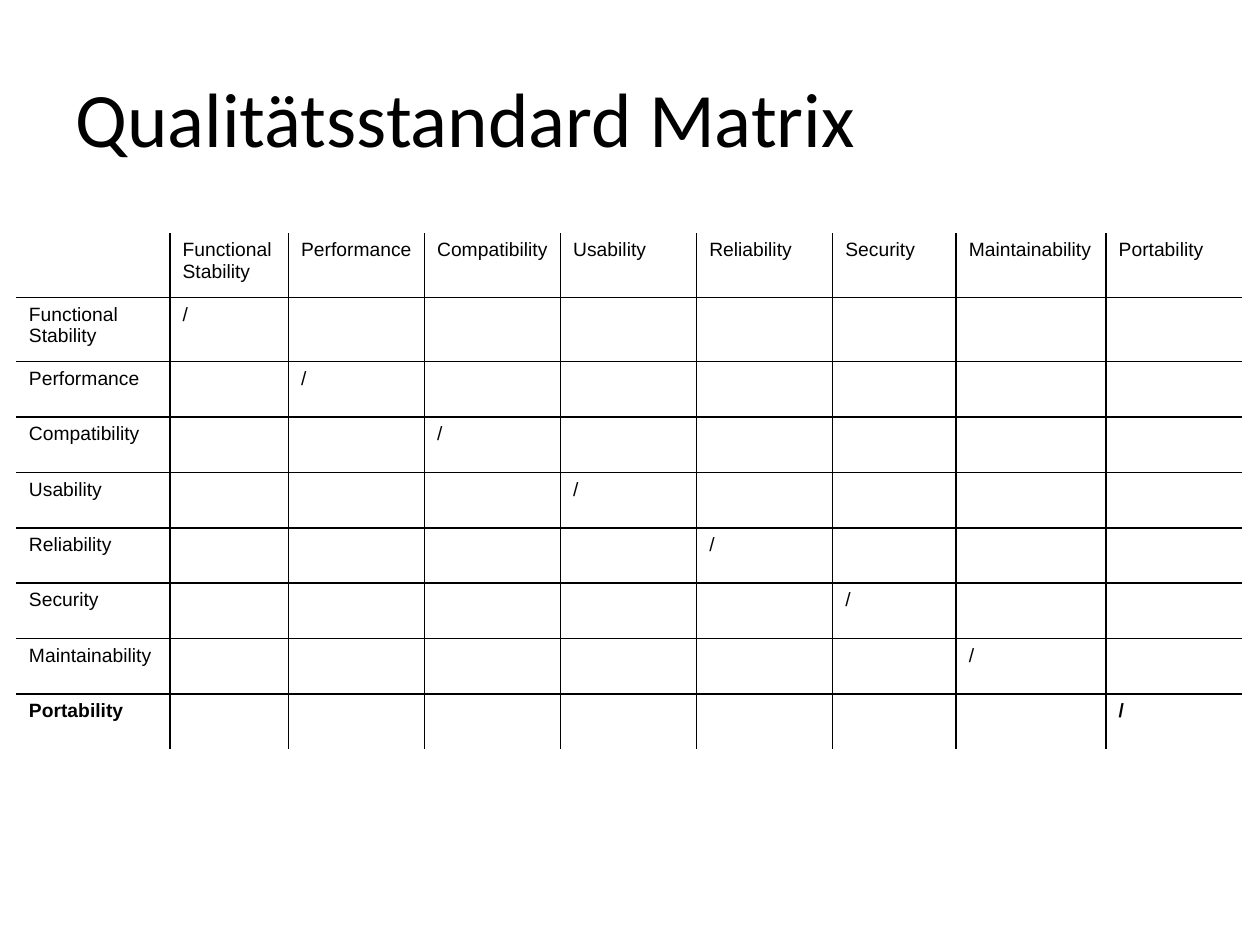
"""Build the quality standard matrix slide."""
import dataclasses

import lxml.etree
import pptx
import pptx.dml.color
import pptx.enum.text
import pptx.oxml.ns
import pptx.util

COLORS = {"text": "000000", "grid": "000000"}
QUALITIES = ["Functional Stability", "Performance", "Compatibility", "Usability",
             "Reliability", "Security", "Maintainability", "Portability"]
COLUMN_WIDTHS = [1.22, 0.94, 1.08, 1.08, 1.08, 1.08, 0.98, 1.19, 1.08]
ROW_HEIGHTS = [0.51] * 2 + [0.44] * 7
LAST = len(QUALITIES)


@dataclasses.dataclass
class MatrixCell:
    """Content and grid position of one matrix cell."""
    row: int
    column: int

    @property
    def label(self) -> str:
        """Return the quality name on the margins and a slash on the diagonal."""
        if self.row == self.column:
            return "/" if self.row else ""
        if self.row == 0 or self.column == 0:
            return QUALITIES[max(self.row, self.column) - 1]
        return ""

    @property
    def borders(self) -> dict[str, bool]:
        """Tell which sides lie inside the matrix and carry a line."""
        return {"lnL": self.column > 0, "lnR": self.column < LAST,
                "lnT": self.row > 0, "lnB": self.row < LAST}


def format_text(frame, font: str, size: float, bold: bool = False) -> None:
    """Format every run of a text frame."""
    for paragraph in frame.paragraphs:
        for run in paragraph.runs:
            run.font.name = font
            run.font.size = pptx.util.Pt(size)
            run.font.bold = bold
            run.font.color.rgb = pptx.dml.color.RGBColor.from_string(COLORS["text"])


def draw_borders(cell, borders: dict[str, bool]) -> None:
    """Set a thin line or no line on each side of a cell."""
    qn = pptx.oxml.ns.qn
    properties = cell._tc.get_or_add_tcPr()
    for side, visible in borders.items():
        line = lxml.etree.SubElement(properties, qn(f"a:{side}"), w=str(pptx.util.Pt(1)))
        if visible:
            fill = lxml.etree.SubElement(line, qn("a:solidFill"))
            lxml.etree.SubElement(fill, qn("a:srgbClr"), val=COLORS["grid"])
        else:
            lxml.etree.SubElement(line, qn("a:noFill"))


def draw_cell(table, matrix_cell: MatrixCell) -> None:
    """Fill and format one table cell."""
    cell = table.cell(matrix_cell.row, matrix_cell.column)
    draw_borders(cell, matrix_cell.borders)
    cell.fill.background()
    cell.text_frame.text = matrix_cell.label
    format_text(cell.text_frame, "Arial", 11, bold=matrix_cell.row == LAST)


def draw_title(slide) -> None:
    """Place and format the title."""
    title = slide.shapes.title
    title.left, title.top = pptx.util.Inches(0.5), pptx.util.Inches(0.3)
    title.width, title.height = pptx.util.Inches(9), pptx.util.Inches(1.25)
    title.text_frame.text = "Qualitätsstandard Matrix"
    title.text_frame.vertical_anchor = pptx.enum.text.MSO_ANCHOR.MIDDLE
    title.text_frame.paragraphs[0].alignment = pptx.enum.text.PP_ALIGN.LEFT
    format_text(title.text_frame, "Calibri", 44)


def draw_matrix(slide) -> None:
    """Draw the matrix of qualities against each other."""
    inches = pptx.util.Inches
    table = slide.shapes.add_table(
        len(ROW_HEIGHTS), len(COLUMN_WIDTHS), inches(0.13), inches(1.85),
        inches(sum(COLUMN_WIDTHS)), inches(sum(ROW_HEIGHTS))).table
    table.first_row = table.horz_banding = False
    for column, width in zip(table.columns, COLUMN_WIDTHS):
        column.width = inches(width)
    for row, height in zip(table.rows, ROW_HEIGHTS):
        row.height = inches(height)
    for row in range(LAST + 1):
        for column in range(LAST + 1):
            draw_cell(table, MatrixCell(row, column))


def main() -> None:
    """Build and save the presentation."""
    presentation = pptx.Presentation()
    presentation.slide_width = pptx.util.Inches(10)
    presentation.slide_height = pptx.util.Inches(7.5)
    slide = presentation.slides.add_slide(presentation.slide_layouts[5])
    draw_title(slide)
    draw_matrix(slide)
    presentation.save("out.pptx")


if __name__ == "__main__":
    main()
